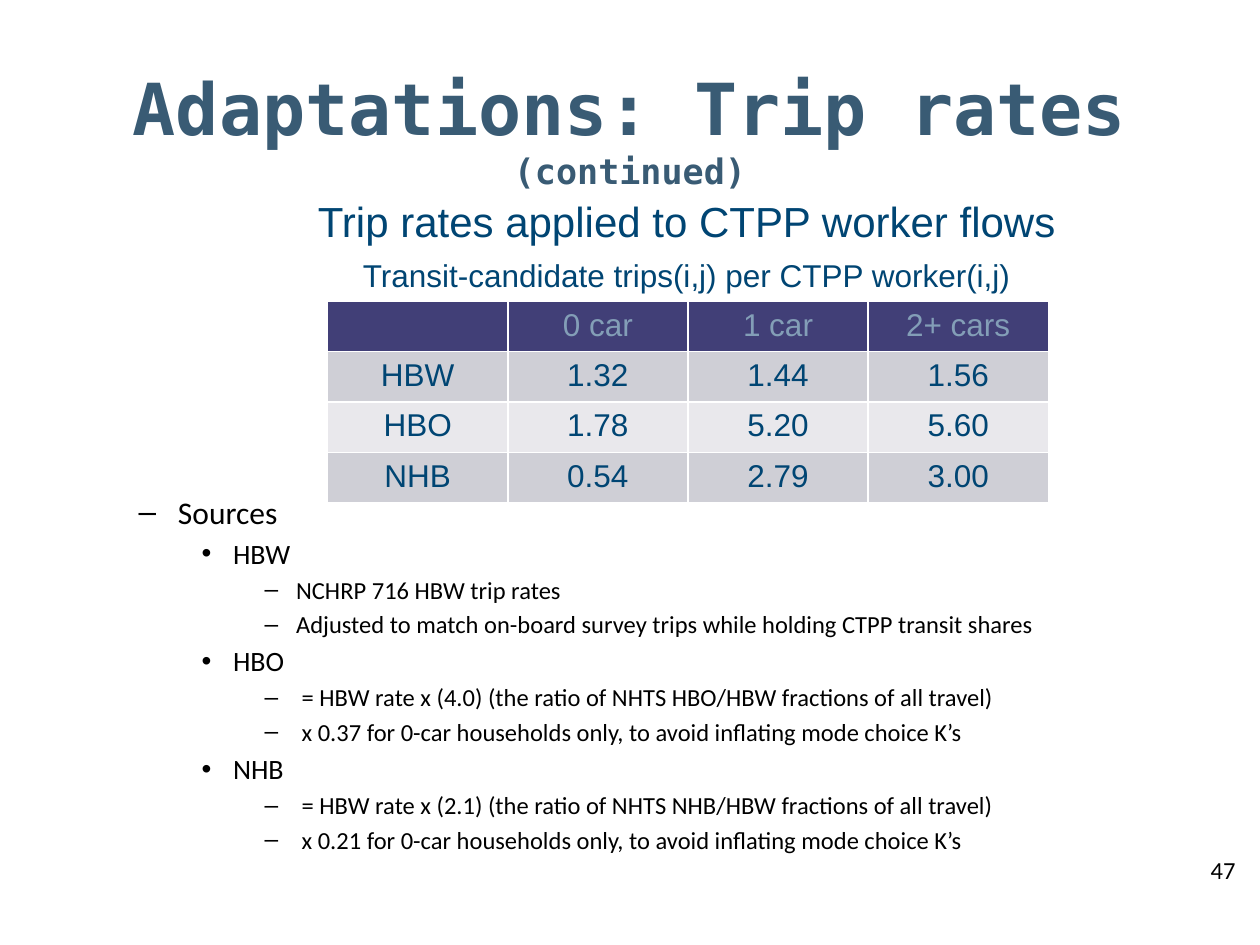
from dataclasses import dataclass

from pptx import Presentation
from pptx import util as u
from pptx.dml.color import RGBColor
from pptx.enum import text


@dataclass(frozen=True)
class Theme:
    heading_font: str = "DejaVu Sans Mono"
    body_font: str = "Calibri"
    table_font: str = "Arial"
    heading: str = "395B74"
    ink: str = "000000"
    accent: str = "004573"
    header_fill: str = "413F77"
    header_text: str = "839EB7"
    bands: tuple = ("CFCFD6", "E9E8EC")
    title_size: int = 41
    subtitle_size: int = 20
    caption_size: int = 24
    table_size: int = 18
    level_sizes: tuple = (None, 18, 16, 14)
    number_size: int = 14


THEME = Theme()

RATES = [
    ["", "0 car", "1 car", "2+ cars"],
    ["HBW", "1.32", "1.44", "1.56"],
    ["HBO", "1.78", "5.20", "5.60"],
    ["NHB", "0.54", "2.79", "3.00"],
]

SOURCES = [
    (1, "Sources"),
    (2, "HBW"),
    (3, "NCHRP 716 HBW trip rates"),
    (3, "Adjusted to match on-board survey trips while holding CTPP transit shares"),
    (2, "HBO"),
    (3, " = HBW rate x (4.0) (the ratio of NHTS HBO/HBW fractions of all travel)"),
    (3, " x 0.37 for 0-car households only, to avoid inflating mode choice K’s"),
    (2, "NHB"),
    (3, " = HBW rate x (2.1) (the ratio of NHTS NHB/HBW fractions of all travel)"),
    (3, " x 0.21 for 0-car households only, to avoid inflating mode choice K’s"),
]


def inches(box):
    return [u.Inches(length) for length in box]


def place(shape, box):
    shape.left, shape.top, shape.width, shape.height = inches(box)


def style(span, font, size, color, bold=False):
    span.font.name = font
    span.font.size = u.Pt(size)
    span.font.color.rgb = RGBColor.from_string(color)
    span.font.bold = bold


def add_title(page, box):
    title = page.shapes.title
    place(title, box)
    frame = title.text_frame
    frame.auto_size = text.MSO_AUTO_SIZE.NONE
    frame.vertical_anchor = text.MSO_ANCHOR.MIDDLE
    para = frame.paragraphs[0]
    para.alignment = text.PP_ALIGN.CENTER
    for words, size in (("Adaptations: Trip rates ", THEME.title_size),
                        ("(continued)", THEME.subtitle_size)):
        span = para.add_run()
        span.text = words
        style(span, THEME.heading_font, size, THEME.heading, bold=True)


def add_sources(page, box, list_top):
    """Fill the body; the list starts list_top below its upper edge."""
    body = page.placeholders[1]
    place(body, box)
    frame = body.text_frame
    frame.auto_size = text.MSO_AUTO_SIZE.NONE
    frame.margin_top = u.Inches(list_top)
    frame.text = "\n".join(words for _, words in SOURCES)
    # Bullets, indents and spacing come from the template's list levels
    for para, (level, _) in zip(frame.paragraphs, SOURCES):
        para.level = level
        style(para.runs[0], THEME.body_font, THEME.level_sizes[level], THEME.ink)


def add_caption(page, box):
    frame = page.shapes.add_textbox(*inches(box)).text_frame
    frame.word_wrap = True
    frame.text = ("Trip rates applied to CTPP worker flows\n"
                  "Transit-candidate trips(i,j) per CTPP worker(i,j)")
    for para, size in zip(frame.paragraphs, (THEME.caption_size, THEME.table_size)):
        para.alignment = text.PP_ALIGN.CENTER
        style(para.runs[0], THEME.table_font, size, THEME.accent)
    frame.paragraphs[0].space_after = u.Pt(6)


def add_rates(page, box):
    # The default table style supplies the white rules
    table = page.shapes.add_table(len(RATES), len(RATES[0]), *inches(box)).table
    for row, values in enumerate(RATES):
        if row == 0:
            fill, color = THEME.header_fill, THEME.header_text
        else:
            fill, color = THEME.bands[(row - 1) % 2], THEME.accent
        for column, value in enumerate(values):
            cell = table.cell(row, column)
            cell.fill.solid()
            cell.fill.fore_color.rgb = RGBColor.from_string(fill)
            para = cell.text_frame.paragraphs[0]
            para.text = value
            para.alignment = text.PP_ALIGN.CENTER
            style(para, THEME.table_font, THEME.table_size, color)


def add_page_number(page, box):
    frame = page.shapes.add_textbox(*inches(box)).text_frame
    frame.word_wrap = True
    frame.text = "47"
    style(frame.paragraphs[0].runs[0], THEME.body_font, THEME.number_size, THEME.ink)


def main():
    deck = Presentation()
    width, height = 10, 7.5
    deck.slide_width, deck.slide_height = u.Inches(width), u.Inches(height)
    page = deck.slides.add_slide(deck.slide_layouts[1])

    # Regions, as left, top, width and height
    margin = 0.05 * width
    content = width - 2 * margin
    add_page_number(page, (9.51, 6.74, 0.58, 0.77))
    add_title(page, (margin, 0.48, content, 1.07))
    add_sources(page, (margin, 1.75, content, 0.66 * height), list_top=2.16)
    add_caption(page, (2.13, 0.2 * height, 6.64, 0.89))
    add_rates(page, (2.6, 2.39, 5.72, 1.6))

    deck.save("out.pptx")


if __name__ == "__main__":
    main()
